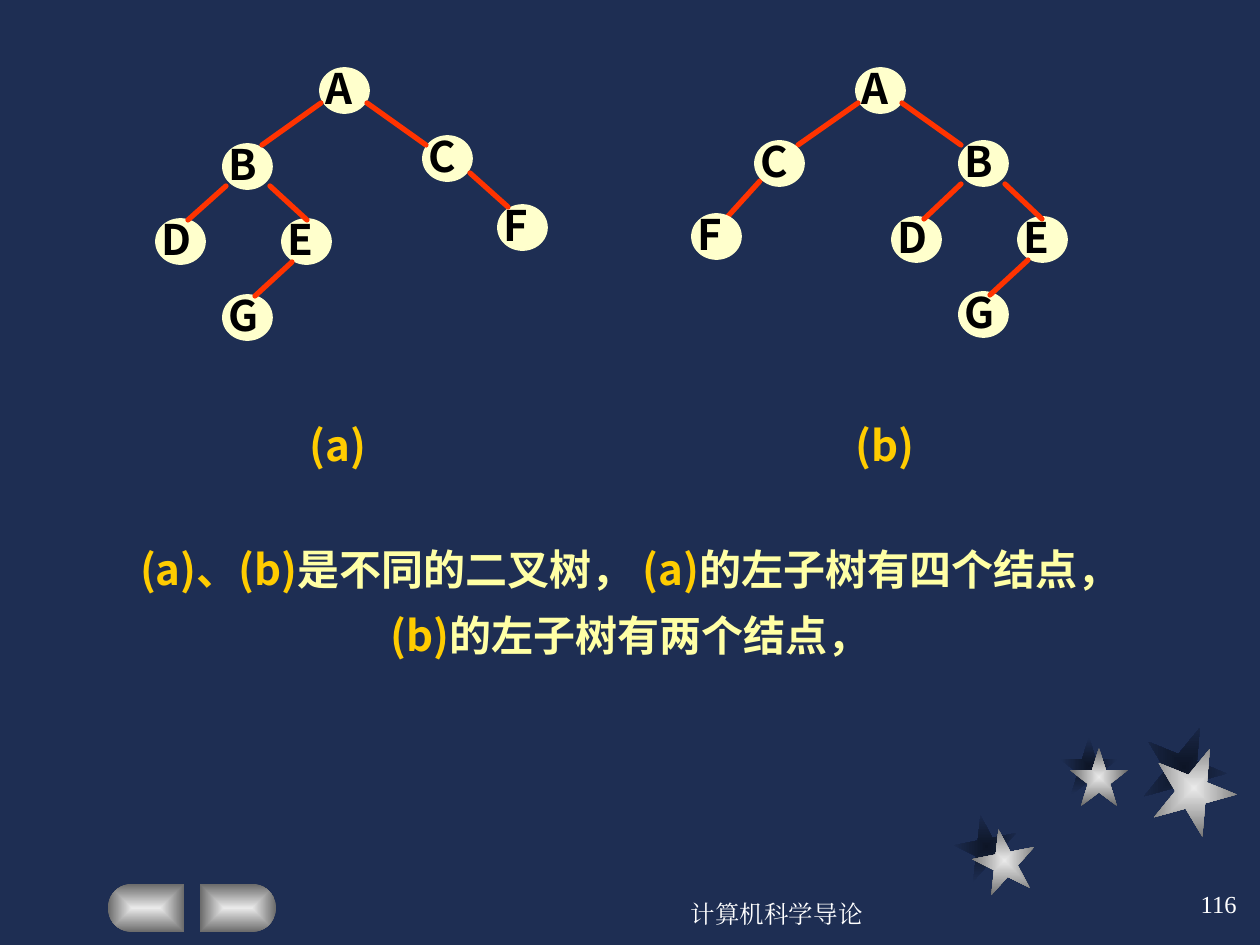
import math
from dataclasses import dataclass

import pptx
import pptx.dml.color
import pptx.enum.shapes
import pptx.enum.text
import pptx.oxml
import pptx.oxml.ns
import pptx.util

SCALE = 914400 / 126
qn = pptx.oxml.ns.qn
Shape = pptx.enum.shapes.MSO_SHAPE
Align = pptx.enum.text.PP_ALIGN


@dataclass(frozen=True)
class Theme:
    night: str = "1E2E53"
    shade: tuple = ("0D1526", "1E2E53")
    silver: tuple = ("EAEAEA", "6B6B6B")
    node: str = "FFFFCC"
    edge: str = "FF3300"
    letter: str = "000000"
    gold: str = "FFCC00"
    cream: str = "FFFFA5"
    footer: str = "FFFFFF"
    body_font: str = "Noto Sans CJK SC"
    footer_font: str = "Times New Roman"
    body_size: int = 24
    footer_size: int = 14
    edge_width: int = 3
    node_line: int = 1
    paragraph_gap: int = 9


def px(value):
    return pptx.util.Emu(round(value * SCALE))


def rgb(value):
    return pptx.dml.color.RGBColor.from_string(value)


class SlideBuilder:
    node_width, node_height = 49, 45

    def __init__(self, slide, theme):
        self.slide = slide
        self.shapes = slide.shapes
        self.theme = theme
        slide.background.fill.solid()
        slide.background.fill.fore_color.rgb = rgb(theme.night)

    def glow(self, shape, colors):
        shape.shadow.inherit = False
        shape.line.fill.background()
        shape.fill.gradient()
        for stop, color in zip(shape.fill.gradient_stops, colors):
            stop.color.rgb = rgb(color)
        gradient = shape._element.spPr.find(qn("a:gradFill"))
        gradient.remove(gradient.find(qn("a:lin")))
        center = pptx.oxml.parse_xml(
            f'<a:path {pptx.oxml.ns.nsdecls("a")} path="rect">'
            '<a:fillToRect l="50000" t="50000" r="50000" b="50000"/></a:path>')
        gradient.append(center)

    def star(self, left, top, size, rotation, colors):
        star = self.shapes.add_shape(Shape.STAR_5_POINT, px(left), px(top), px(size), px(size))
        star.rotation = rotation
        self.glow(star, colors)

    def button(self, left, top, width, height, round_left):
        radius = height / 2
        angles = [math.radians(90 + 9 * step) for step in range(21)]
        outline = [(width, height), (width, 0)]
        outline += [(radius + radius * math.cos(a), radius - radius * math.sin(a)) for a in angles]
        if not round_left:
            outline = [(width - x, y) for x, y in outline]
        points = [(px(left + x), px(top + y)) for x, y in outline]
        pen = self.shapes.build_freeform(*points[0])
        pen.add_line_segments(points[1:], close=True)
        self.glow(pen.convert_to_shape(), self.theme.silver)

    def text(self, left, top, width, height, paragraphs, align, size=None, font=None,
             bold=True, inset=13):
        frame = self.shapes.add_textbox(px(left), px(top), px(width), px(height)).text_frame
        frame.word_wrap = True
        frame.vertical_anchor = pptx.enum.text.MSO_ANCHOR.MIDDLE
        frame.margin_left = px(inset)
        for index, runs in enumerate(paragraphs):
            paragraph = frame.add_paragraph() if index else frame.paragraphs[0]
            paragraph.alignment = align
            if index:
                paragraph.space_before = pptx.util.Pt(self.theme.paragraph_gap)
            for words, color in runs:
                run = paragraph.add_run()
                run.text = words
                run.font.size = pptx.util.Pt(size or self.theme.body_size)
                run.font.bold = bold
                run.font.color.rgb = rgb(color)
                run.font.name = font or self.theme.body_font
                east_asian = pptx.oxml.parse_xml(f'<a:ea {pptx.oxml.ns.nsdecls("a")}/>')
                east_asian.set("typeface", run.font.name)
                run.font._element.append(east_asian)

    def node(self, letter, left, top):
        circle = self.shapes.add_shape(Shape.OVAL, px(left), px(top),
                                       px(self.node_width), px(self.node_height))
        circle.shadow.inherit = False
        circle.fill.solid()
        circle.fill.fore_color.rgb = rgb(self.theme.node)
        circle.line.color.rgb = rgb(self.theme.node)
        circle.line.width = pptx.util.Pt(self.theme.node_line)
        self.text(left - 13, top - 12, 89, 63, [[(letter, self.theme.letter)]],
                  Align.LEFT, inset=19)

    def edge(self, x1, y1, x2, y2):
        branch = self.shapes.add_connector(pptx.enum.shapes.MSO_CONNECTOR.STRAIGHT,
                                           px(x1), px(y1), px(x2), px(y2))
        branch.line.color.rgb = rgb(self.theme.edge)
        branch.line.width = pptx.util.Pt(self.theme.edge_width)
        properties = branch._element.spPr
        properties.find(qn("a:ln")).set("cap", "rnd")
        properties.append(pptx.oxml.parse_xml(f'<a:effectLst {pptx.oxml.ns.nsdecls("a")}/>'))

    def tree(self, nodes, edges, front_nodes=()):
        for node in nodes:
            self.node(*node)
        for edge in edges:
            self.edge(*edge)
        for node in front_nodes:
            self.node(*node)

    def caption(self, left, words):
        self.text(left, 413, 242, 63, [[(words, self.theme.gold)]], Align.CENTER)

    def footer(self, left, top, width, words, align):
        self.text(left, top, width, 63, [[(words, self.theme.footer)]], align,
                  self.theme.footer_size, self.theme.footer_font, bold=False)


def main():
    theme = Theme()
    deck = pptx.Presentation()
    deck.slide_width, deck.slide_height = px(1260), px(945)
    page = SlideBuilder(deck.slides.add_slide(deck.slide_layouts[6]), theme)

    star_shadows = [(955, 815, 63, 349), (1060, 737, 58, 0), (1142, 725, 84, 22)]
    stars = [(973, 829, 63, 349), (1070, 748, 58, 0), (1152, 746, 84, 22)]
    for colors, places in ((theme.shade, star_shadows), (theme.silver, stars)):
        for place in places:
            page.star(*place, colors)
    for left, round_left in ((108, True), (200, False)):
        page.button(left, 884, 76, 48, round_left)

    page.tree(
        nodes=[("A", 320, 68), ("F", 498, 205), ("G", 223, 295), ("E", 282, 219),
               ("D", 156, 219), ("C", 423, 136), ("B", 223, 144)],
        edges=[(321, 103, 262, 145), (367, 103, 426, 145), (270, 186, 307, 220),
               (292, 262, 255, 296), (226, 186, 188, 220), (470, 173, 508, 207)])
    page.caption(217, "(a)")

    page.tree(
        nodes=[("A", 856, 68), ("G", 959, 292), ("E", 1018, 217), ("D", 892, 217),
               ("B", 959, 141)],
        edges=[(858, 103, 798, 145), (902, 103, 961, 145), (1005, 184, 1042, 219),
               (1028, 260, 990, 295), (961, 184, 924, 219), (760, 181, 721, 224)],
        front_nodes=[("C", 755, 141), ("F", 692, 214)])
    page.caption(764, "(b)")

    page.text(64, 532, 1131, 140, [
        [("(a)、(b)", theme.gold), ("是不同的二叉树， ", theme.cream),
         ("(a)", theme.gold), ("的左子树有四个结点，", theme.cream)],
        [("(b)", theme.gold), ("的左子树有两个结点，", theme.cream)],
    ], Align.CENTER)

    page.footer(577, 882, 399, "计算机科学导论", Align.CENTER)
    page.footer(987, 872, 262, "116", Align.RIGHT)
    deck.save("out.pptx")


if __name__ == "__main__":
    main()
